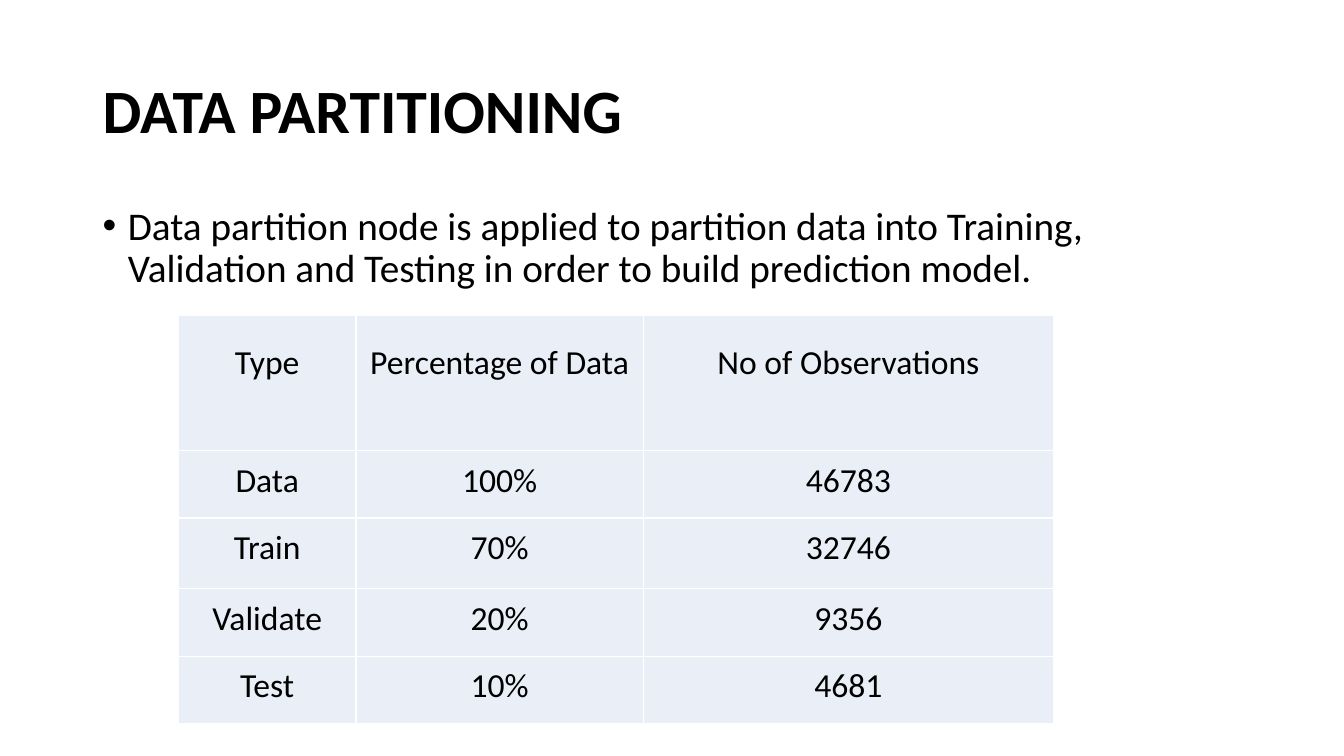
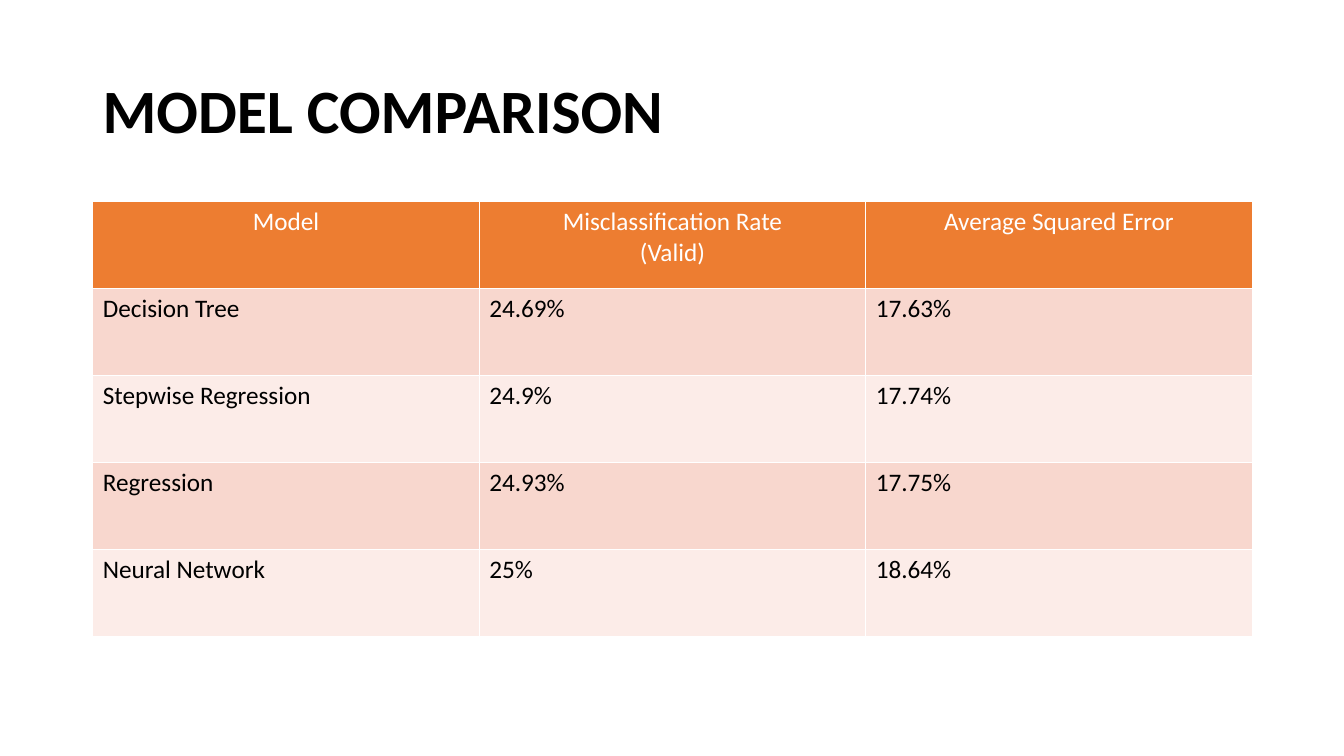
from lxml.etree import SubElement
from pptx import Presentation
from pptx.dml.color import RGBColor
from pptx.enum.text import MSO_ANCHOR, PP_ALIGN
from pptx.oxml.ns import qn
from pptx.util import Inches, Pt

FONT = "Calibri"
COLORS = {
    "text": "000000",
    "white": "FFFFFF",
    "partition": "EAEFF7",
    "header": "ED7D31",
    "band_dark": "F8D7CE",
    "band_light": "FCECE8",
}
LEFT, WIDTH = 0.92, 11.5
BODY_TOP = 2

PARTITION_ROWS = [
    ("Type", "Percentage of Data", "No of Observations"),
    ("Data", "100%", "46783"),
    ("Train", "70%", "32746"),
    ("Validate", "20%", "9356"),
    ("Test", "10%", "4681"),
]
MODEL_ROWS = [
    ("Model", "Misclassification Rate\n(Valid)", "Average Squared Error"),
    ("Decision Tree", "24.69%", "17.63%"),
    ("Stepwise Regression", "24.9%", "17.74%"),
    ("Regression", "24.93%", "17.75%"),
    ("Neural Network", "25%", "18.64%"),
]


def rgb(name):
    return RGBColor.from_string(COLORS[name])


def add_run(paragraph, text, size, color="text", bold=False):
    run = paragraph.add_run()
    run.text = text
    run.font.name = FONT
    run.font.size = Pt(size)
    run.font.bold = bold
    run.font.color.rgb = rgb(color)


def add_text(slide, text, top, height, size, anchor=MSO_ANCHOR.TOP, bold=False):
    box = slide.shapes.add_textbox(Inches(LEFT), Inches(top), Inches(WIDTH), Inches(height))
    frame = box.text_frame
    frame.word_wrap = True
    frame.vertical_anchor = anchor
    paragraph = frame.paragraphs[0]
    paragraph.line_spacing = 0.9
    add_run(paragraph, text, size, bold=bold)
    return paragraph


def add_titled_slide(deck, title):
    slide = deck.slides.add_slide(deck.slide_layouts[6])
    add_text(slide, title, 0.4, 1.45, 44, MSO_ANCHOR.MIDDLE, bold=True)
    return slide


def add_bullet(slide, text):
    properties = add_text(slide, text, BODY_TOP, 1.05, 28)._p.get_or_add_pPr()
    properties.set("marL", str(Inches(0.25)))
    properties.set("indent", str(-Inches(0.25)))
    SubElement(properties, qn("a:buFont"), typeface="Arial")
    SubElement(properties, qn("a:buChar"), char="•")


def set_borders(cell, color="white", width=1):
    properties = cell._tc.get_or_add_tcPr()
    for side in ("lnL", "lnR", "lnT", "lnB"):
        line = SubElement(properties, qn(f"a:{side}"), w=str(Pt(width)))
        fill = SubElement(line, qn("a:solidFill"))
        SubElement(fill, qn("a:srgbClr"), val=COLORS[color])


def add_grid(slide, rows, left, top, widths, heights, style_for, size, inset=None):
    """style_for(row) gives fill, text colour, alignment and line spacing."""
    grid = slide.shapes.add_table(
        len(rows), len(widths), Inches(left), Inches(top),
        Inches(sum(widths)), Inches(sum(heights))).table
    grid.first_row = grid.horz_banding = False
    for column, width in zip(grid.columns, widths):
        column.width = Inches(width)
    for index, (values, height) in enumerate(zip(rows, heights)):
        grid.rows[index].height = Inches(height)
        fill, color, alignment, spacing = style_for(index)
        for position, value in enumerate(values):
            cell = grid.cell(index, position)
            set_borders(cell)
            cell.fill.solid()
            cell.fill.fore_color.rgb = rgb(fill)
            if inset is not None:
                cell.margin_left = cell.margin_right = Inches(inset)
                cell.margin_top = cell.margin_bottom = Inches(inset)
            frame = cell.text_frame
            for number, text in enumerate(value.split("\n")):
                paragraph = frame.add_paragraph() if number else frame.paragraphs[0]
                paragraph.alignment = alignment
                paragraph.line_spacing = spacing
                add_run(paragraph, text, size, color)


def partition_style(row):
    return "partition", "text", PP_ALIGN.CENTER, 1.07 if row else 1.5


def model_style(row):
    if row == 0:
        return "header", "white", PP_ALIGN.CENTER, 1.0
    return "band_dark" if row % 2 else "band_light", "text", PP_ALIGN.LEFT, 1.0


def main():
    deck = Presentation()
    deck.slide_width, deck.slide_height = Inches(13.33), Inches(7.5)

    # Data partitioning
    partitioning = add_titled_slide(deck, "DATA PARTITIONING")
    add_bullet(partitioning, "Data partition node is applied to partition data into Training, "
                             "Validation and Testing in order to build prediction model.")
    add_grid(partitioning, PARTITION_ROWS, 1.77, 3.13, [1.76, 2.85, 4.07],
             [1.34, 0.67, 0.7, 0.67, 0.67], partition_style, 24, inset=0.07)

    # Model comparison
    comparison = add_titled_slide(deck, "MODEL COMPARISON")
    add_grid(comparison, MODEL_ROWS, LEFT, BODY_TOP, [WIDTH / 3] * 3,
             [4.32 / len(MODEL_ROWS)] * len(MODEL_ROWS), model_style, 18)

    deck.save("out.pptx")


if __name__ == "__main__":
    main()
